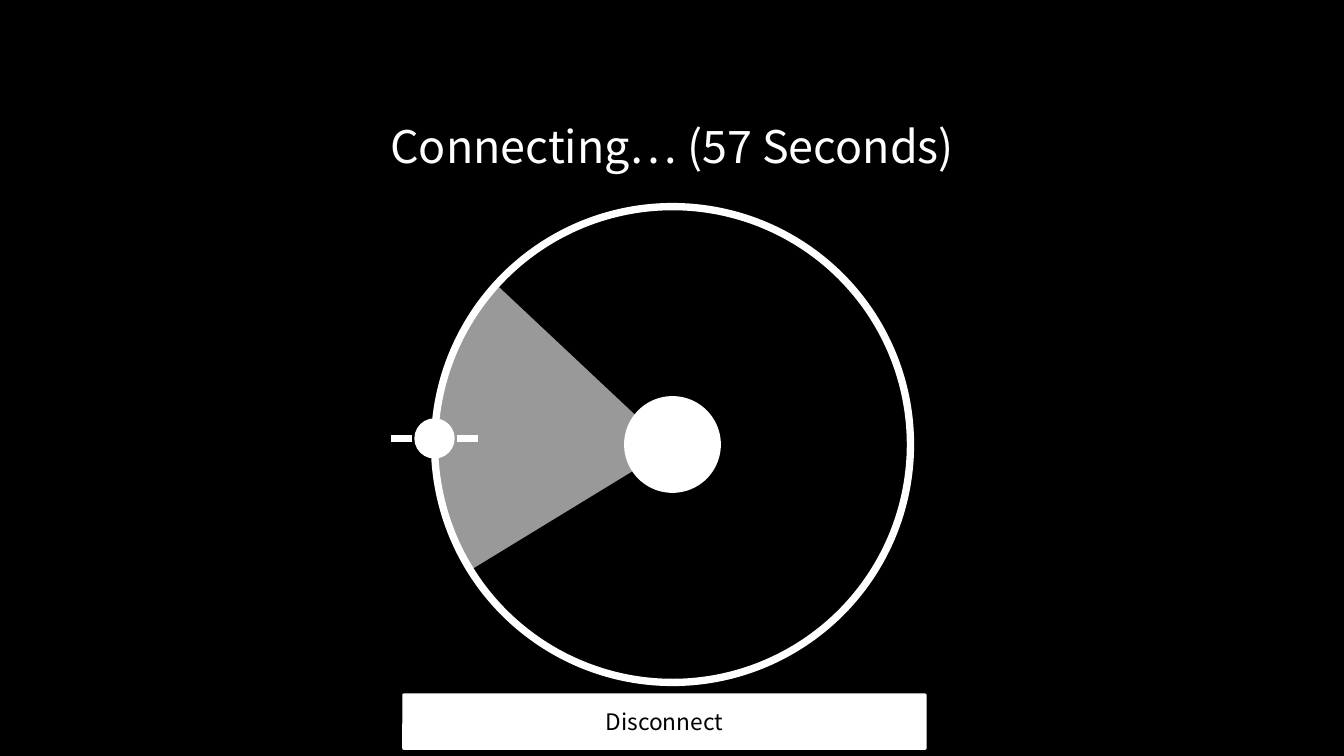
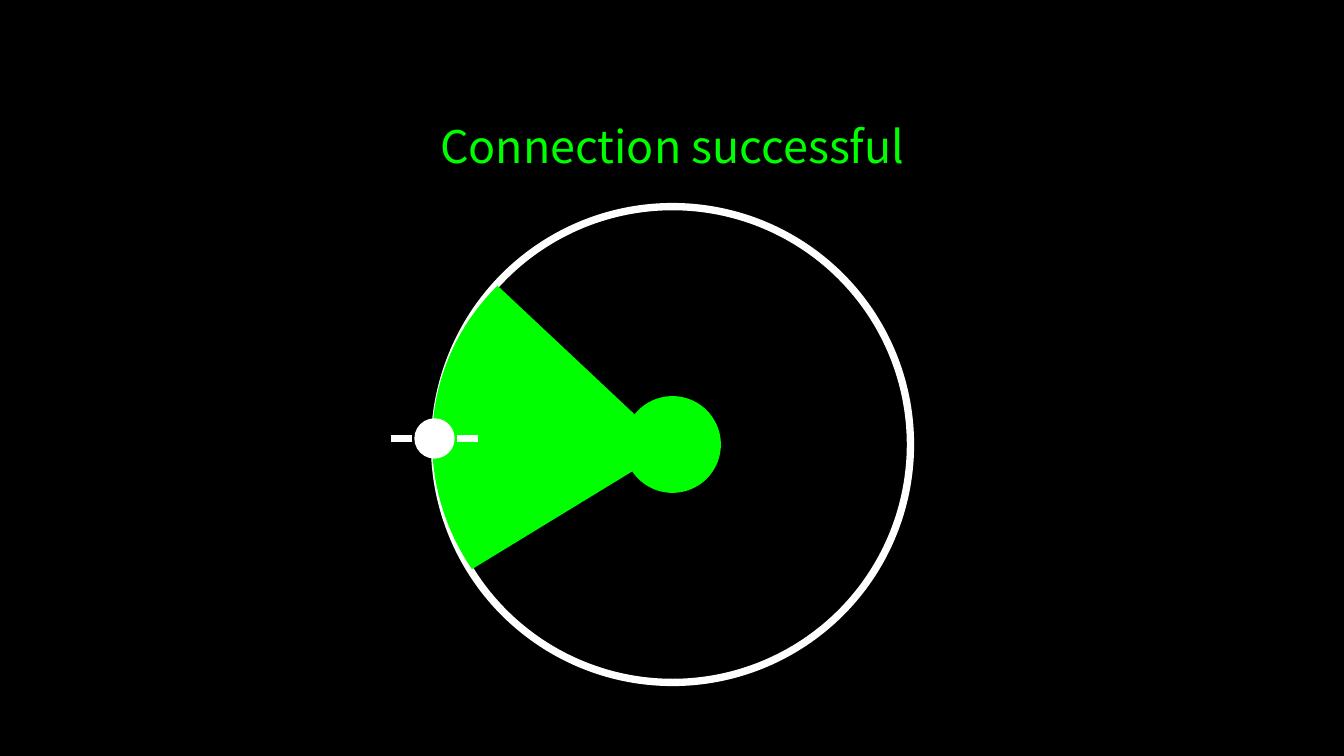
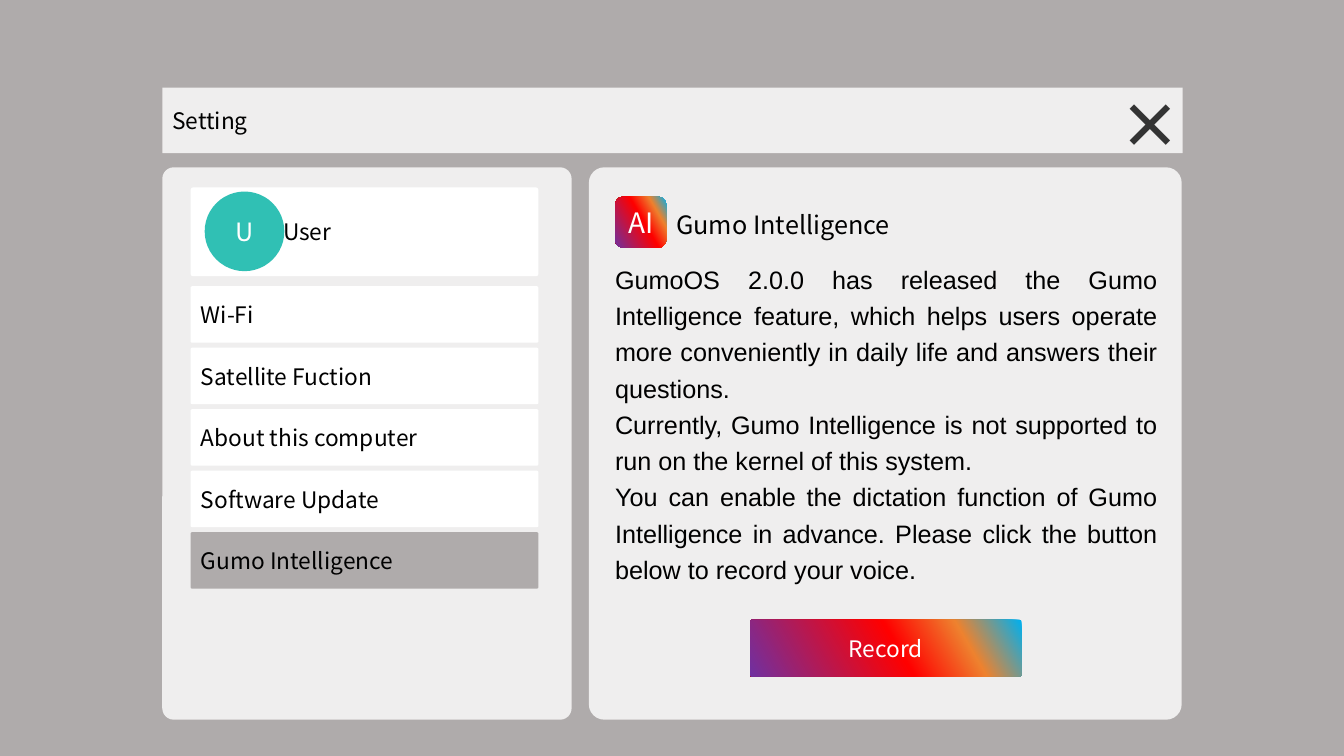
import lxml.etree
import pptx
import pptx.dml.color
import pptx.enum.shapes
import pptx.enum.text
import pptx.oxml.ns
import pptx.util

Inches, Pt = pptx.util.Inches, pptx.util.Pt
SHAPE = pptx.enum.shapes.MSO_SHAPE
ALIGN = pptx.enum.text.PP_ALIGN
ANCHOR = pptx.enum.text.MSO_ANCHOR
qn = pptx.oxml.ns.qn

COLORS = {"black": "000000", "white": "FFFFFF", "green": "00FF00", "gray": "AFABAB",
          "teal": "30C0B4", "close": "333333"}
GRADIENT = [(0, "00B0F0"), (22, "EE822F"), (46, "FF0000"), (100, "7030A0")]
FONT, BODY_FONT = "Noto Sans CJK SC", "Arial"
LABEL_SIZE = 16.2
CORNER = 0.028
DIAL_BOX = (4.31, 2.05, 4.72)
MENU = ["Wi-Fi", "Satellite Fuction", "About this computer", "Software Update",
        "Gumo Intelligence"]
DESCRIPTION = [
    "GumoOS 2.0.0 has released the Gumo Intelligence feature, which helps users operate "
    "more conveniently in daily life and answers their questions.",
    "Currently, Gumo Intelligence is not supported to run on the kernel of this system.",
    "You can enable the dictation function of Gumo Intelligence in advance. "
    "Please click the button below to record your voice.",
]


def rgb(color):
    return pptx.dml.color.RGBColor.from_string(COLORS[color])


def paint(shape, color, opacity=100):
    shape.fill.solid()
    shape.fill.fore_color.rgb = rgb(color)
    if opacity < 100:
        value = shape.element.spPr.find(qn("a:solidFill")).find(qn("a:srgbClr"))
        lxml.etree.SubElement(value, qn("a:alpha"), val=str(opacity * 1000))


def paint_gradient(shape):
    shape.fill.gradient()
    shape.fill.gradient_angle = 210
    stops = shape.element.spPr.find(qn("a:gradFill")).find(qn("a:gsLst"))
    stops.clear()
    for position, color in GRADIENT:
        stop = lxml.etree.SubElement(stops, qn("a:gs"), pos=str(position * 1000))
        lxml.etree.SubElement(stop, qn("a:srgbClr"), val=color)


def place(shape, left, top, width, height):
    shape.left, shape.top = Inches(left), Inches(top)
    shape.width, shape.height = Inches(width), Inches(height)


def write(shape, text, size, color="black", align=ALIGN.LEFT, font=FONT, bold=False,
          spacing=1.0, anchor=ANCHOR.MIDDLE, wrap=True):
    """Fill a shape or placeholder with evenly formatted, unbulleted paragraphs."""
    frame = shape.text_frame
    frame.text = text
    frame.word_wrap = wrap
    frame.auto_size = pptx.enum.text.MSO_AUTO_SIZE.NONE
    frame.vertical_anchor = anchor
    for paragraph in frame.paragraphs:
        if shape.is_placeholder:
            properties = paragraph._p.get_or_add_pPr()
            properties.set("marL", "0")
            properties.set("indent", "0")
            lxml.etree.SubElement(properties, qn("a:buNone"))
        paragraph.alignment = align
        paragraph.line_spacing = spacing
        paragraph.space_before = Pt(0)
        paragraph.font.name = font
        paragraph.font.size = Pt(size)
        paragraph.font.bold = bold
        paragraph.font.color.rgb = rgb(color)


def add_shape(shapes, kind, box, color=None, opacity=100):
    """Add a shape without line or shadow; without a colour it is hollow."""
    shape = shapes.add_shape(kind, *map(Inches, box))
    shape.shadow.inherit = False
    shape.line.fill.background()
    if color:
        paint(shape, color, opacity)
    else:
        shape.fill.background()
    return shape


def add_panel(slide, box, color="white", opacity=100):
    panel = add_shape(slide.shapes, SHAPE.ROUNDED_RECTANGLE, box, color, opacity)
    panel.adjustments[0] = CORNER
    return panel


def add_text(slide, box, text, size, **style):
    write(slide.shapes.add_textbox(*map(Inches, box)), text, size, **style)


def add_slide(presentation, layout, background):
    slide = presentation.slides.add_slide(presentation.slide_layouts.get_by_name(layout))
    slide.background.fill.solid()
    slide.background.fill.fore_color.rgb = rgb(background)
    return slide


def add_knob(slide, x, y):
    """Add a knob centred on x, y with a tick on either side."""
    knob = slide.shapes.add_group_shape()
    radius, tick_start, tick_end = 0.2, 0.22, 0.43
    add_shape(knob.shapes, SHAPE.FLOWCHART_CONNECTOR,
              (x - radius, y - radius, 2 * radius, 2 * radius), "white")
    for side in (-1, 1):
        tick = knob.shapes.add_connector(
            pptx.enum.shapes.MSO_CONNECTOR.STRAIGHT,
            Inches(x + side * tick_start), Inches(y), Inches(x + side * tick_end), Inches(y))
        tick.line.color.rgb = rgb("white")
        tick.line.width = Pt(5)
        lxml.etree.SubElement(tick.element.spPr, qn("a:effectLst"))


def add_dial(slide, left, top, size, color, sector_opacity):
    ring = add_shape(slide.shapes, SHAPE.FLOWCHART_CONNECTOR, (left, top, size, size))
    ring.line.color.rgb = rgb("white")
    ring.line.width = Pt(5.25)
    hub = 0.96
    inset = (size - hub) / 2
    add_shape(slide.shapes, SHAPE.FLOWCHART_CONNECTOR,
              (left + inset, top + inset, hub, hub), color)
    sector = add_shape(slide.shapes, SHAPE.PIE, (left + 0.08, top + 0.02, 4.52, 4.75),
                       color, sector_opacity)
    sector.adjustments[0], sector.adjustments[1] = 132.3, 177.06
    sector.rotation = 288.1
    add_knob(slide, left, top + 2.3)


def add_connection_slide(presentation, title, color, sector_opacity):
    slide = add_slide(presentation, "Title Only", "black")
    place(slide.shapes.title, 3.71, 1.12, 5.92, 0.64)
    write(slide.shapes.title, title, 32, color, ALIGN.CENTER, wrap=False)
    add_dial(slide, *DIAL_BOX, color, sector_opacity)
    return slide


def add_menu(slide, left, top, width, height):
    add_panel(slide, (left, top, width, height), opacity=80)
    item_left, item_width = left + 0.28, 3.45
    user = add_panel(slide, (item_left, top + 0.2, item_width, 0.88))
    write(user, "User", LABEL_SIZE)
    user.text_frame.margin_left = Inches(0.91)
    avatar = add_shape(slide.shapes, SHAPE.FLOWCHART_CONNECTOR,
                       (item_left + 0.14, top + 0.24, 0.79, 0.79), "teal")
    write(avatar, "U", 18, "white", ALIGN.CENTER)
    for index, label in enumerate(MENU):
        color = "gray" if index == len(MENU) - 1 else "white"
        item = add_panel(slide, (item_left, top + 1.18 + index * 0.61, item_width, 0.56), color)
        write(item, label, LABEL_SIZE)


def add_details(slide, left, top, width, height):
    add_panel(slide, (left, top, width, height), opacity=80)
    icon = add_shape(slide.shapes, SHAPE.ROUNDED_RECTANGLE,
                     (left + 0.26, top + 0.29, 0.51, 0.51))
    paint_gradient(icon)
    write(icon, "AI", 20, "white", ALIGN.CENTER, wrap=False)
    add_text(slide, (left + 0.77, top + 0.31, 4.9, 0.45), "Gumo Intelligence", 18,
             spacing=1.2, anchor=ANCHOR.TOP)
    body = slide.placeholders[1]
    place(body, left + 0.16, top + 0.85, 5.58, 3.35)
    write(body, "\n".join(DESCRIPTION), 18, align=ALIGN.JUSTIFY, font=BODY_FONT,
          spacing=1.2, anchor=ANCHOR.TOP)
    body.element.getparent().append(body.element)  # in front of the panel
    button = add_panel(slide, (left + 1.6, top + 4.49, 2.69, 0.56))
    paint_gradient(button)
    write(button, "Record", LABEL_SIZE, "white", ALIGN.CENTER)


def add_settings_slide(presentation):
    slide = add_slide(presentation, "Title and Content", "gray")
    title = slide.shapes.title
    place(title, 1.61, 0.87, 10.12, 0.65)
    paint(title, "white", 80)
    write(title, "Setting", LABEL_SIZE)
    add_text(slide, (11.01, 0.81, 0.57, 0.84), "×", 44, color="close", bold=True,
             anchor=ANCHOR.TOP, wrap=False)
    add_menu(slide, 1.61, 1.66, 4.06, 5.48)
    add_details(slide, 5.84, 1.66, 5.88, 5.48)


def main():
    presentation = pptx.Presentation()
    presentation.slide_width, presentation.slide_height = Inches(13.33), Inches(7.5)
    connecting = add_connection_slide(presentation, "Connecting… (57 Seconds)", "white", 60)
    button = add_panel(connecting, (3.99, 6.88, 5.2, 0.56))
    write(button, "Disconnect", LABEL_SIZE, align=ALIGN.CENTER)
    add_connection_slide(presentation, "Connection successful", "green", 100)
    add_settings_slide(presentation)
    presentation.save("out.pptx")


if __name__ == "__main__":
    main()
